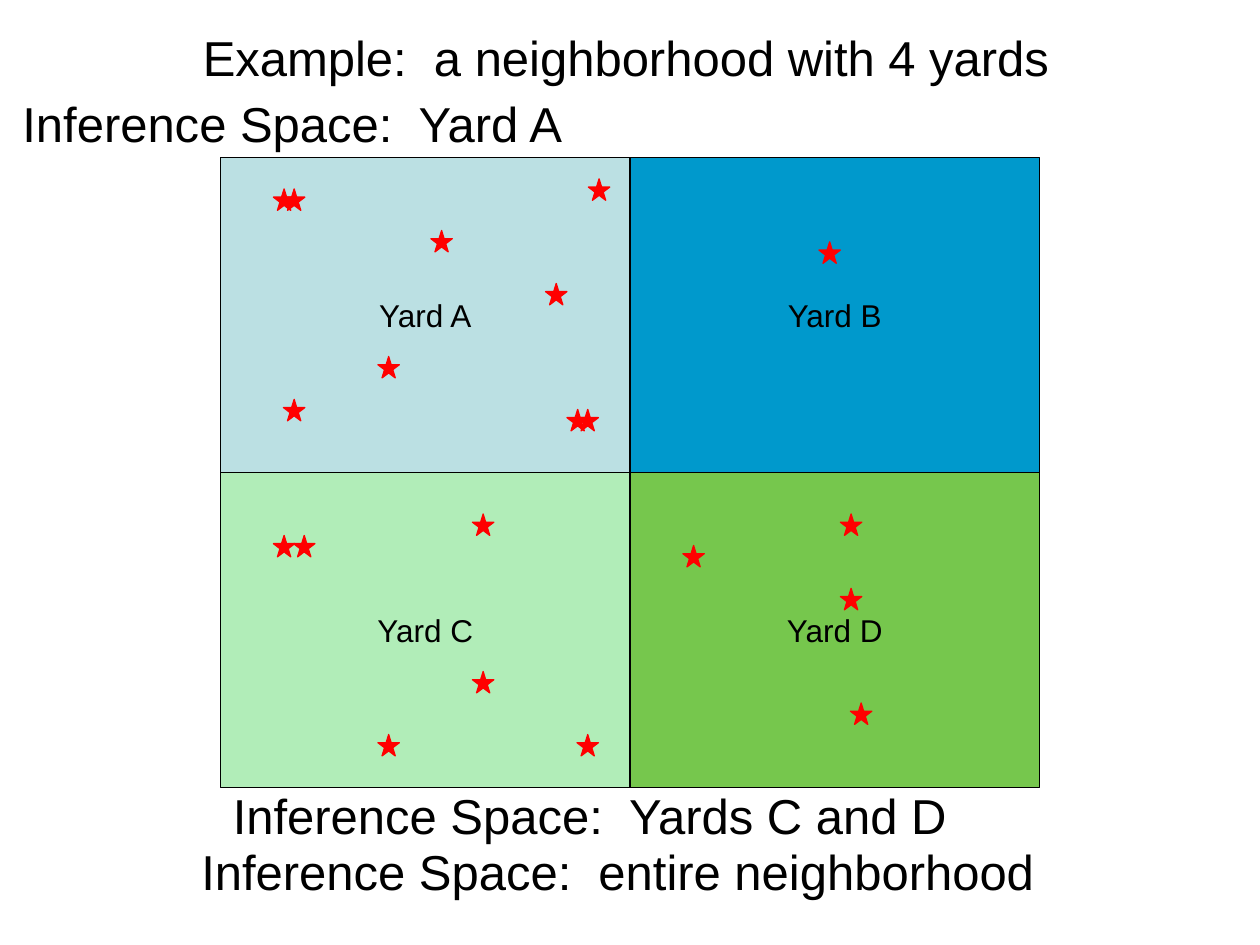
from pptx import Presentation
from pptx.dml.color import RGBColor
from pptx.enum.shapes import MSO_SHAPE as Shape
from pptx.enum.text import MSO_ANCHOR as Anchor, MSO_AUTO_SIZE as AutoSize, PP_ALIGN as Align
from pptx.util import Inches, Pt

TITLE = ("Example:  a neighborhood with 4 yards", 1.51, -0.17)
INFERENCE_SPACES = [
    ("Inference Space:  entire neighborhood", 1.5, 6.29),
    ("Inference Space:  Yard A", 0.08, 0.35),
    ("Inference Space:  Yards C and D", 1.75, 5.84),
]
CAPTION_SIZE = (9, 1.25)

YARDS = [
    [("Yard A", "BBE0E3"), ("Yard B", "0099CC")],
    [("Yard C", "B1EDB8"), ("Yard D", "76C74D")],
]
YARDS_LEFT, YARDS_TOP = 1.75, 1.25
YARD_WIDTH, YARD_HEIGHT = 3.25, 2.5

STAR_SIZE = 0.17
STAR_GROUPS = [
    [(2.17, 1.5), (4.5, 3.25), (5.42, 4.33), (6.5, 1.92), (2.33, 4.25),
     (6.67, 4.67), (4.58, 5.83)],
    [(2.25, 1.5), (4.58, 3.25), (2.25, 3.17), (4.67, 1.42), (3.42, 1.83),
     (4.33, 2.25), (3, 2.83)],
    [(6.75, 5.58), (3.75, 4.08), (2.17, 4.25), (3.75, 5.33), (3, 5.83),
     (6.67, 4.08)],
]
BLACK, RED = "000000", "FF0000"


def color(hex_code):
    return RGBColor.from_string(hex_code)


def write(shape, text, size, align, wrap):
    frame = shape.text_frame
    frame.auto_size = AutoSize.NONE
    frame.word_wrap = wrap
    frame.vertical_anchor = Anchor.MIDDLE
    paragraph = frame.paragraphs[0]
    paragraph.alignment = align
    run = paragraph.add_run()
    run.text = text
    run.font.name = "Arial"
    run.font.size = Pt(size)
    run.font.color.rgb = color(BLACK)


def place_caption(shape, text, left, top):
    shape.left, shape.top = Inches(left), Inches(top)
    shape.width, shape.height = map(Inches, CAPTION_SIZE)
    write(shape, text, 28, Align.LEFT, True)


def add_filled(shapes, preset, box, fill, line):
    shape = shapes.add_shape(preset, *map(Inches, box))
    shape.shadow.inherit = False
    shape.fill.solid()
    shape.fill.fore_color.rgb = color(fill)
    shape.line.color.rgb = color(line)
    shape.line.width = Pt(0.75)
    return shape


prs = Presentation()
prs.slide_width, prs.slide_height = Inches(10), Inches(7.5)
slide = prs.slides.add_slide(prs.slide_layouts[5])
place_caption(slide.shapes.title, *TITLE)

for row, yards in enumerate(YARDS):
    for column, (name, fill) in enumerate(yards):
        box = (YARDS_LEFT + column * YARD_WIDTH, YARDS_TOP + row * YARD_HEIGHT,
               YARD_WIDTH, YARD_HEIGHT)
        yard = add_filled(slide.shapes, Shape.RECTANGLE, box, fill, BLACK)
        write(yard, name, 18, Align.CENTER, False)

for caption in INFERENCE_SPACES:
    place_caption(slide.shapes.add_textbox(0, 0, 0, 0), *caption)

for stars in STAR_GROUPS:
    group = slide.shapes.add_group_shape()
    for left, top in stars:
        add_filled(group.shapes, Shape.STAR_5_POINT,
                   (left, top, STAR_SIZE, STAR_SIZE), RED, RED)

prs.save("out.pptx")
